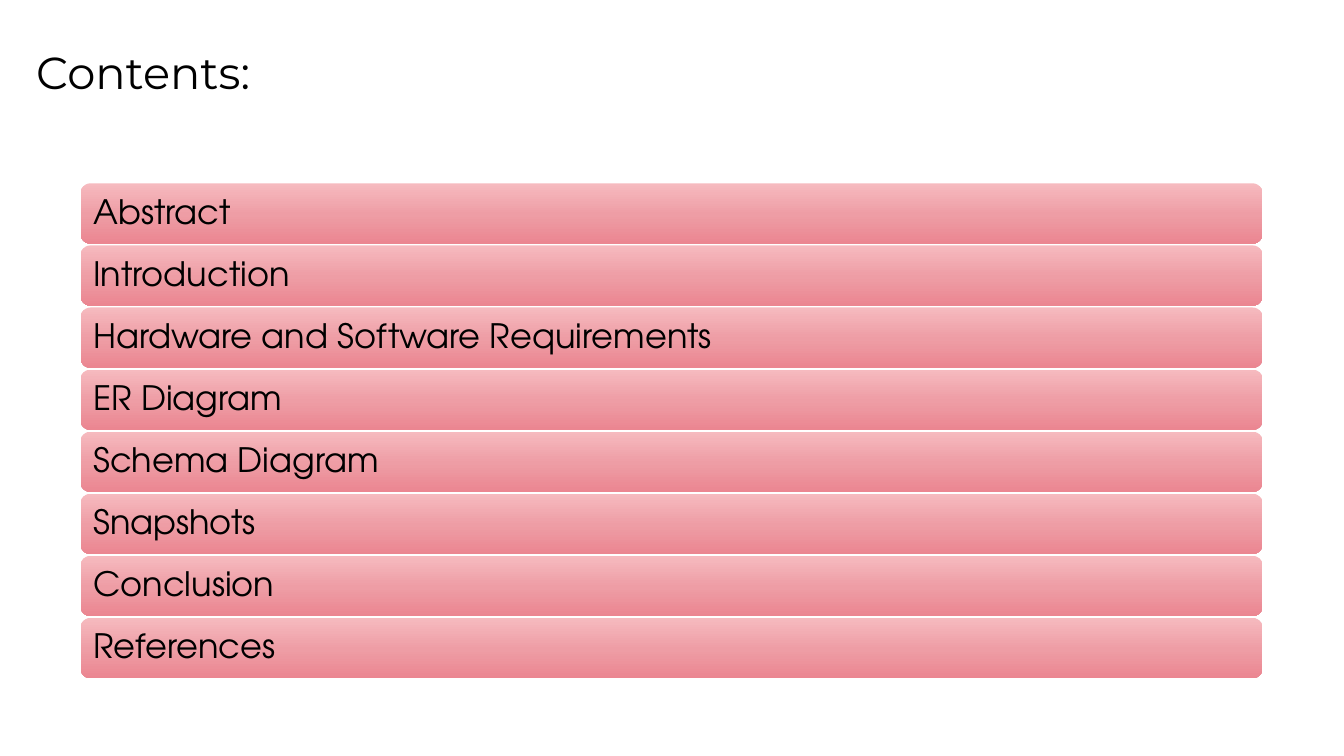
from copy import deepcopy

from pptx import Presentation
from pptx.dml.color import RGBColor
from pptx.enum.shapes import MSO_SHAPE as SHAPE
from pptx.enum.text import MSO_ANCHOR as ANCHOR, PP_ALIGN as ALIGN
from pptx.oxml.ns import qn
from pptx.util import Cm, Pt

# Content
TITLE = "Contents:"
TOPICS = [
    "Abstract",
    "Introduction",
    "Hardware and Software Requirements",
    "ER Diagram",
    "Schema Diagram",
    "Snapshots",
    "Conclusion",
    "References",
]

# Style
TITLE_FONT, TOPIC_FONT = "Montserrat", "TeX Gyre Adventor"
BLACK = "000000"
BAR_STOPS = [(0, "F6BABF"), (0.52, "EE9DA5"), (1, "EB8691")]

# Bar layout in centimetres
LEFT, WIDTH, HEIGHT = 2.03, 29.79, 1.52
FIRST_TOP, LAST_TOP = 4.62, 15.57
PITCH = (LAST_TOP - FIRST_TOP) / (len(TOPICS) - 1)


def color(hex_code):
    return RGBColor.from_string(hex_code)


def write(tf, text, font, size):
    tf.word_wrap = True
    p = tf.paragraphs[0]
    p.text = text
    p.alignment = ALIGN.LEFT
    r = p.runs[0]
    r.font.name = font
    r.font.size = Pt(size)
    r.font.color.rgb = color(BLACK)
    return p


def fill_gradient(sp, stops):
    sp.fill.gradient()
    sp.fill.gradient_angle = 270  # top to bottom
    gs_list = next(sp._element.spPr.iter(qn("a:gsLst")))
    while len(gs_list) < len(stops):
        gs_list.append(deepcopy(gs_list[0]))
    for stop, (position, hex_code) in zip(sp.fill.gradient_stops, stops):
        stop.position = position
        stop.color.rgb = color(hex_code)


def add_bar(s, text, top):
    sp = s.shapes.add_shape(SHAPE.ROUNDED_RECTANGLE,
                            Cm(LEFT), Cm(top), Cm(WIDTH), Cm(HEIGHT))
    sp.shadow.inherit = False
    sp.line.fill.background()
    fill_gradient(sp, BAR_STOPS)
    tf = sp.text_frame
    tf.margin_left = tf.margin_right = Cm(0.25)
    tf.margin_top = tf.margin_bottom = Cm(0.25)
    tf.vertical_anchor = ANCHOR.MIDDLE
    write(tf, text, TOPIC_FONT, 24).line_spacing = 0.9


def main():
    prs = Presentation()
    prs.slide_width, prs.slide_height = Cm(33.87), Cm(19.05)
    s = prs.slides.add_slide(prs.slide_layouts[6])

    # Title
    title = s.shapes.add_textbox(Cm(0.66), Cm(0.99), Cm(13.74), Cm(1.63))
    write(title.text_frame, TITLE, TITLE_FONT, 32)

    # Topic bars
    for i, topic in enumerate(TOPICS):
        add_bar(s, topic, FIRST_TOP + i * PITCH)

    prs.save("out.pptx")


if __name__ == "__main__":
    main()
